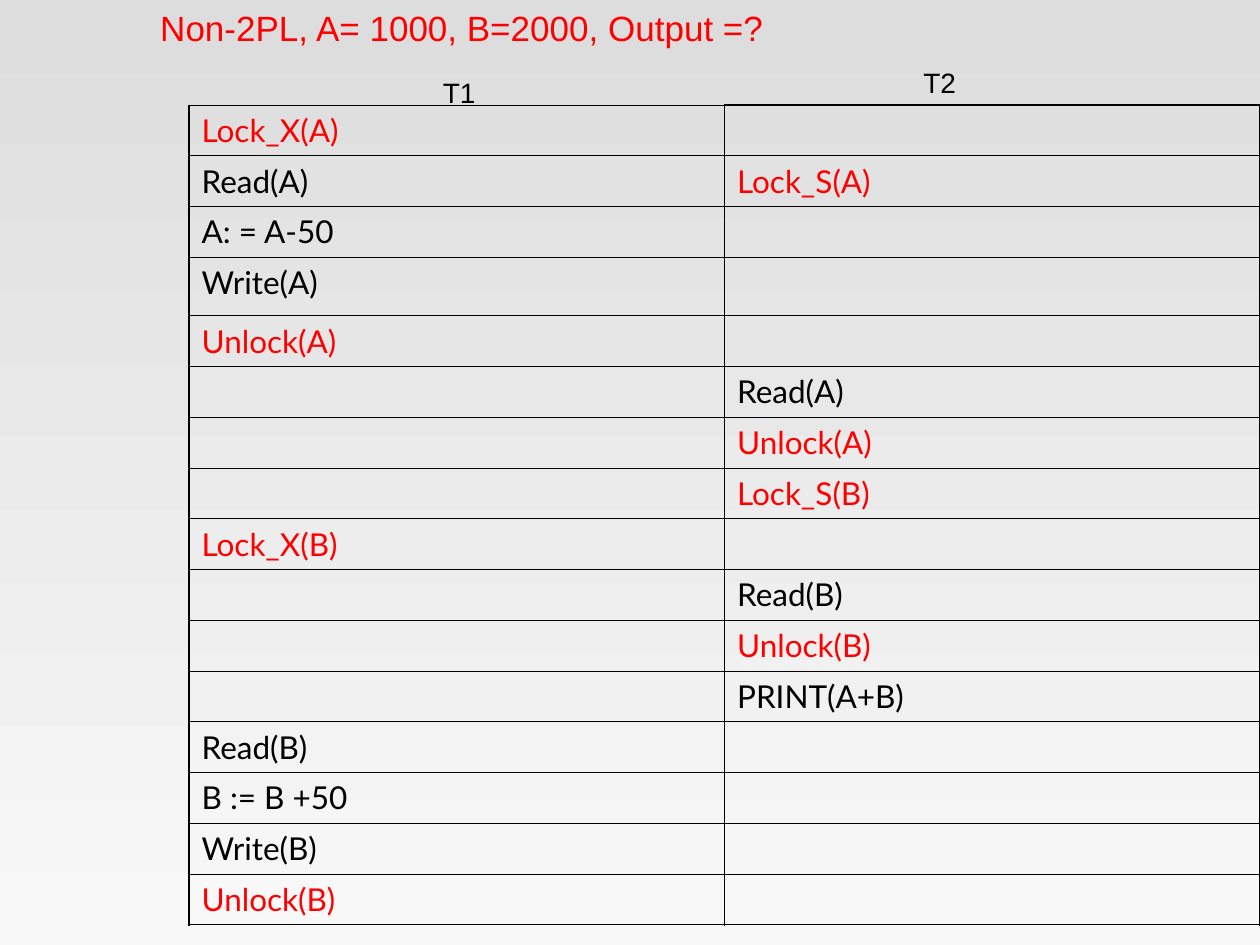
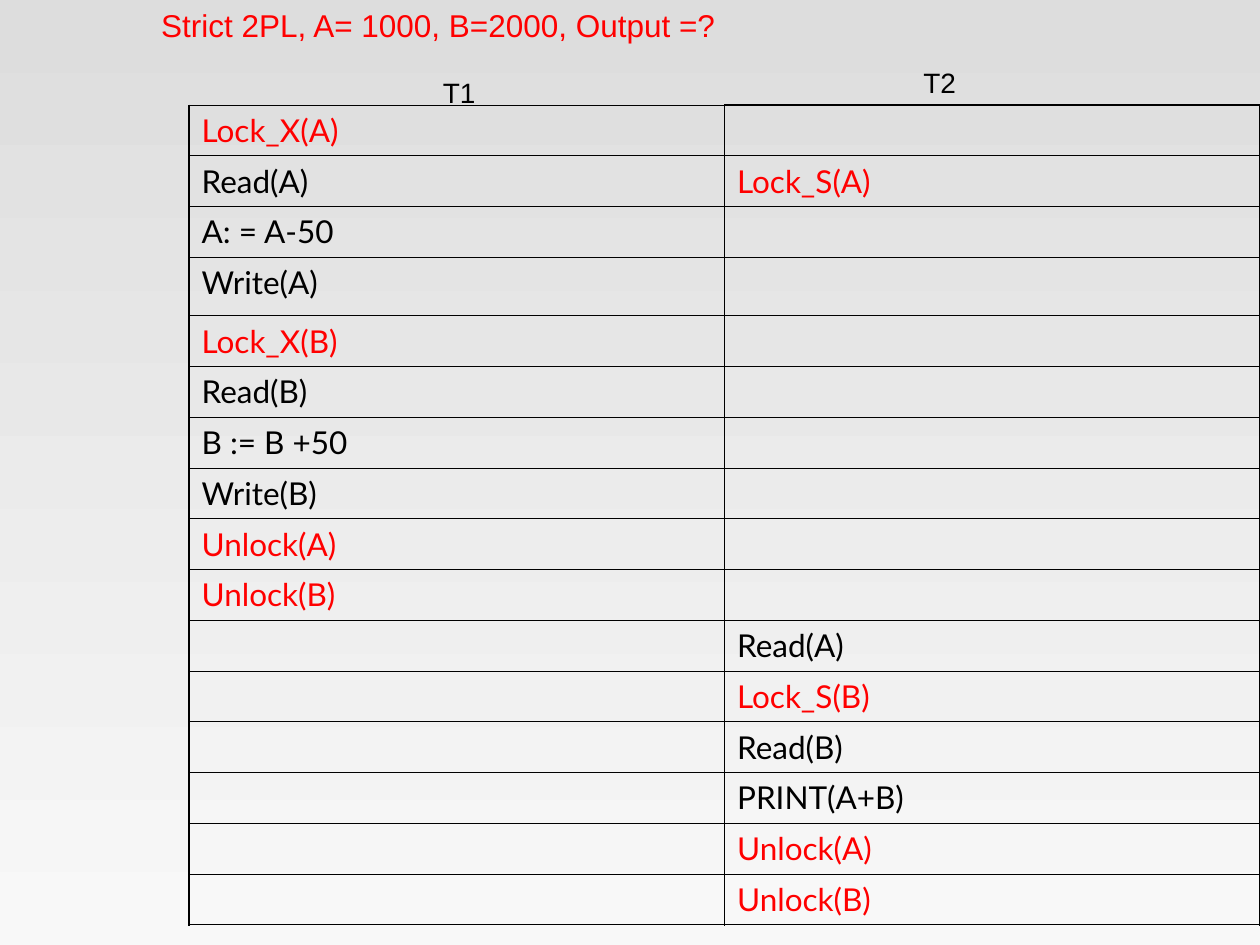
from lxml.etree import SubElement
from pptx import Presentation
from pptx.dml.color import RGBColor
from pptx.enum.text import MSO_AUTO_SIZE
from pptx.oxml.ns import qn
from pptx.util import Pt

RED = RGBColor(0xFF, 0x00, 0x00)
BLACK = RGBColor(0x00, 0x00, 0x00)
BG_TOP = RGBColor(0xDD, 0xDD, 0xDD)
BG_BOTTOM = RGBColor(0xF8, 0xF8, 0xF8)

LABEL_FONT, CELL_FONT, CELL_SIZE = "Arial", "Lato", 18
THIN, THICK = 0.45, 1.08
TABLE_LEFT, TABLE_TOP, COL_WIDTH = 108, 60, 306
ROW_HEIGHT, TALL_ROW, TALL_HEIGHT = 29, 3, 33.4

# Each row pairs the step of T1 with the step of T2.
OPENING = [
    ("Lock_X(A)", ""),
    ("Read(A)", "Lock_S(A)"),
    ("A: = A-50", ""),
    ("Write(A)", ""),
]
NON_2PL = OPENING + [
    ("Unlock(A)", ""),
    ("", "Read(A)"),
    ("", "Unlock(A)"),
    ("", "Lock_S(B)"),
    ("Lock_X(B)", ""),
    ("", "Read(B)"),
    ("", "Unlock(B)"),
    ("", "PRINT(A+B)"),
    ("Read(B)", ""),
    ("B := B +50", ""),
    ("Write(B)", ""),
    ("Unlock(B)", ""),
]
STRICT_2PL = OPENING + [
    ("Lock_X(B)", ""),
    ("Read(B)", ""),
    ("B := B +50", ""),
    ("Write(B)", ""),
    ("Unlock(A)", ""),
    ("Unlock(B)", ""),
    ("", "Read(A)"),
    ("", "Lock_S(B)"),
    ("", "Read(B)"),
    ("", "PRINT(A+B)"),
    ("", "Unlock(A)"),
    ("", "Unlock(B)"),
]


def step_color(step):
    """Locking steps are red, all others black."""
    return RED if "lock" in step.lower() else BLACK


class Deck:
    def __init__(self):
        self.prs = Presentation()
        self.prs.slide_width, self.prs.slide_height = Pt(720), Pt(540)
        self.s = None

    def new_slide(self):
        self.s = self.prs.slides.add_slide(self.prs.slide_layouts[6])
        fill = self.s.background.fill
        fill.gradient()
        fill.gradient_angle = 270
        for stop, position, color in zip(fill.gradient_stops, (0, 1), (BG_TOP, BG_BOTTOM)):
            stop.position = position
            stop.color.rgb = color

    def add_text(self, p, text, size, name, color):
        r = p.add_run()
        r.text = text
        for key, value in {"size": Pt(size), "name": name}.items():
            setattr(r.font, key, value)
        r.font.color.rgb = color

    def label(self, text, left, top, width, height, size=16, color=BLACK, wrap=True):
        sp = self.s.shapes.add_textbox(Pt(left), Pt(top), Pt(width), Pt(height))
        tf = sp.text_frame
        tf.word_wrap = wrap
        tf.auto_size = MSO_AUTO_SIZE.SHAPE_TO_FIT_TEXT
        self.add_text(tf.paragraphs[0], text, size, LABEL_FONT, color)

    def borders(self, cell, widths):
        """Draw black cell borders; widths maps L, R, T and B to points."""
        tc_pr = cell._tc.get_or_add_tcPr()
        for i, (side, width) in enumerate(widths.items()):
            ln = tc_pr.makeelement(qn(f"a:ln{side}"), {"w": str(Pt(width))})
            tc_pr.insert(i, ln)
            SubElement(SubElement(ln, qn("a:solidFill")), qn("a:srgbClr"), val=str(BLACK))

    def step(self, cell, text):
        cell.fill.background()
        p = cell.text_frame.paragraphs[0]
        if text:
            p.space_before = Pt(4.5)
            self.add_text(p, text, CELL_SIZE, CELL_FONT, step_color(text))
        else:
            end = SubElement(p._p, qn("a:endParaRPr"), sz=str(CELL_SIZE * 100))
            SubElement(end, qn("a:latin"), typeface=CELL_FONT)

    def schedule(self, rows):
        heights = [TALL_HEIGHT if i == TALL_ROW else ROW_HEIGHT for i in range(len(rows))]
        sp = self.s.shapes.add_table(len(rows), 2, Pt(TABLE_LEFT), Pt(TABLE_TOP),
                                     Pt(2 * COL_WIDTH), Pt(sum(heights)))
        table = sp.table
        table.first_row = table.horz_banding = False
        for column in table.columns:
            column.width = Pt(COL_WIDTH)
        for i, (steps, height) in enumerate(zip(rows, heights)):
            table.rows[i].height = Pt(height)
            for j, text in enumerate(steps):
                cell = table.cell(i, j)
                self.step(cell, text)
                thick = {"L": j == 0, "R": j == 1, "T": i == 0 and j == 1,
                         "B": i == len(rows) - 1}
                self.borders(cell, {side: THICK if on else THIN for side, on in thick.items()})

    def schedule_slide(self, rows, title, left, width, height, size):
        self.new_slide()
        self.schedule(rows)
        self.label(title, left, 0, width, height, size, RED, wrap=False)
        self.label("T1", 246, 39.5, 49, 26.6)
        self.label("T2", 520.5, 34, 49, 26.6)


def main():
    deck = Deck()
    deck.schedule_slide(NON_2PL, "Non-2PL, A= 1000, B=2000, Output =?", 84.5, 360, 31.5, 20)
    deck.schedule_slide(STRICT_2PL, "Strict 2PL, A= 1000, B=2000, Output =?", 85, 332, 29, 18)
    deck.prs.save("out.pptx")


if __name__ == "__main__":
    main()
